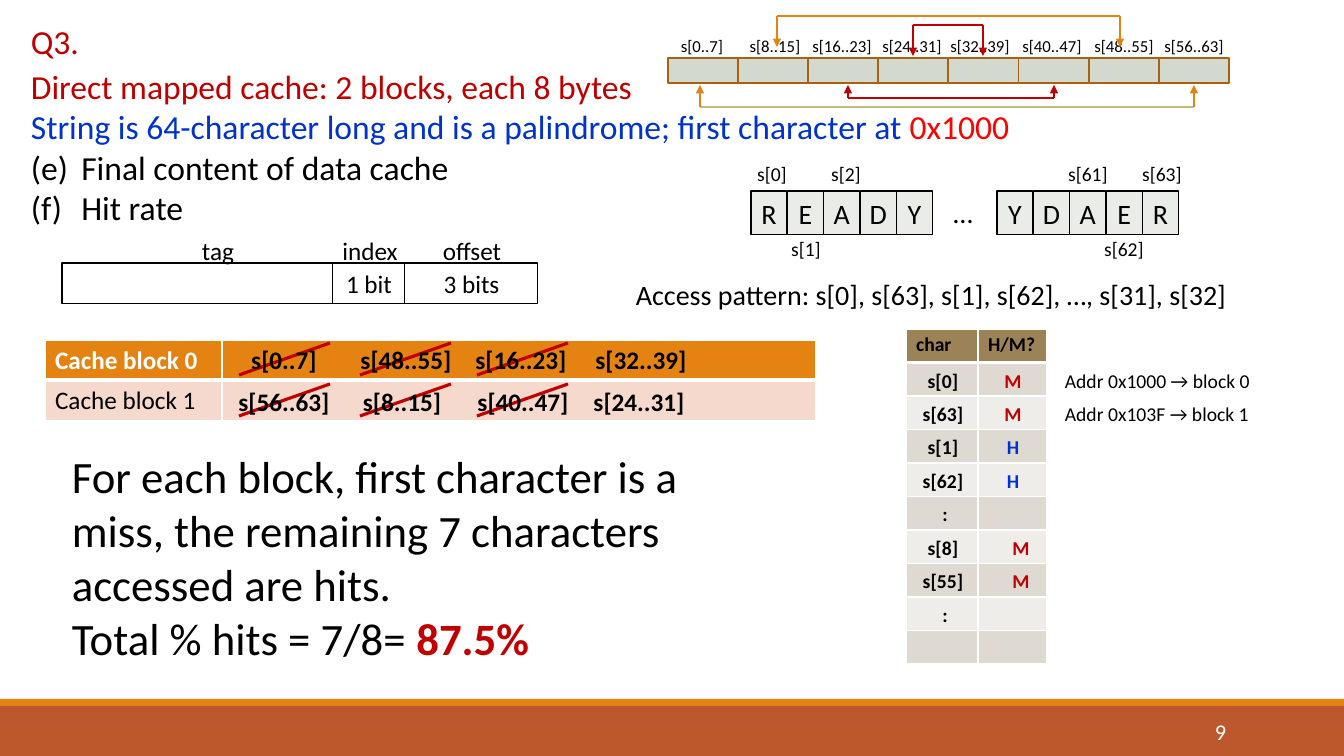
from lxml import etree
from pptx import Presentation
from pptx import util as u
from pptx.dml.color import RGBColor
from pptx.enum import shapes, text
from pptx.oxml import ns

PX = 914400 / 100.8
HEX = {"black": "000000", "white": "FFFFFF", "red": "C00000", "bright": "FF0000",
       "blue": "0033CC", "orange": "E48312", "rust": "BD582C", "blush": "F5D9CC",
       "tan": "9B8357", "sand": "DED9D1", "pale": "EFEDEA", "letter": "EAECE7",
       "segment": "D4D9CF", "brown": "A9610D", "olive": "C2BC80"}
LEFT, CENTRE, RIGHT = text.PP_ALIGN.LEFT, text.PP_ALIGN.CENTER, text.PP_ALIGN.RIGHT

# Content. A run is (words, colour, bold); a paragraph is a list of runs.
QUESTION = [
    [("Direct mapped cache: 2 blocks, each 8 bytes", "red", False)],
    [("String is 64-character long and is a palindrome; first character at ", "blue", False),
     ("0x1000", "bright", False)],
    [("Final content of data cache", "black", False)],
    [("Hit rate", "black", False)]]
ANSWER = [
    [("For each block, first character is a miss, the remaining 7 characters "
      "accessed are hits.", "black", False)],
    [("Total % hits = 7/8= ", "black", False), ("87.5%", "red", True)]]
NOTES = [  # words, box, size, colour
    ("Q3.", (21, 16, 87, 50), 24, "red"),
    ("Access pattern: s[0], s[63], s[1], s[62], …, s[31], s[32]", (626, 273, 616, 44), 20, "black"),
    ("Addr 0x1000 → block 0", (1055, 364, 249, 34), 14, "black"),
    ("Addr 0x103F → block 1", (1055, 397, 249, 34), 14, "black")]
SEGMENTS = [("s[0..7]", 702), ("s[8..15]", 775), ("s[16..23]", 842), ("s[24..31]", 912),
            ("s[32..39]", 980), ("s[40..47]", 1052), ("s[48..55]", 1124), ("s[56..63]", 1194)]
MIRRORS = [  # left, right, bar y, tip y, bar colour, arrow colour
    (700, 1194, 107, 85, "olive", "orange"), (777, 1120, 16, 47, "orange", "orange"),
    (848, 1054, 98, 85, "red", "red"), (913, 983, 25, 56, "red", "red")]
WORDS = [("READY", 751), ("YDAER", 997)]
INDICES = [("s[0]", 772, 157), ("s[2]", 846, 157), ("s[61]", 1088, 157),
           ("s[63]", 1162, 157), ("s[1]", 806, 232), ("s[62]", 1124, 232)]
FIELDS = [("tag", 218, "", 62, 271), ("index", 370, "1 bit", 333, 72),
          ("offset", 472, "3 bits", 405, 133)]
CACHE_ROWS = [("Cache block 0", "orange", "white", True),
              ("Cache block 1", "blush", "black", False)]
CACHED = [  # label top, strike bottom, (label, centre)
    (339, 375, [("s[0..7]", 284), ("s[48..55]", 406), ("s[16..23]", 521), ("s[32..39]", 641)]),
    (381, 416, [("s[56..63]", 284), ("s[8..15]", 402), ("s[40..47]", 523), ("s[24..31]", 639)])]
STRIKES = [239, 360, 477]
ACCESSES = [("s[0]", "M", 1013), ("s[63]", "M", 1013), ("s[1]", "H", 1013), ("s[62]", "H", 1013),
            (":", "", 0), ("s[8]", "M", 1021), ("s[55]", "M", 1021), (":", "", 0)]
OUTCOME_COLOURS = {"M": "red", "H": "blue"}

deck = Presentation()
deck.slide_width, deck.slide_height = round(1344 * PX), round(756 * PX)
slide = deck.slides.add_slide(deck.slide_layouts[6])


def emu(*pixels):
    """Turn pixel lengths into EMU."""
    return [u.Emu(round(p * PX)) for p in pixels]


def colour(name):
    """Look up a colour by name."""
    return RGBColor.from_string(HEX[name])


def assign(target, values):
    """Set each attribute named in values."""
    for name, value in values.items():
        setattr(target, name, value)


def write(frame, paragraphs, size, align=LEFT):
    """Fill a text frame with paragraphs of coloured runs."""
    frame.word_wrap = True
    if align == CENTRE:
        assign(frame, {"margin_left": 0, "margin_right": 0})
    for i, runs in enumerate(paragraphs):
        paragraph = frame.paragraphs[0] if i == 0 else frame.add_paragraph()
        paragraph.alignment = align
        for words, ink, bold in runs:
            run = paragraph.add_run()
            run.text = words
            assign(run.font, {"name": "Calibri", "size": u.Pt(size), "bold": bold})
            run.font.color.rgb = colour(ink)


def note(paragraphs, box, size, align=LEFT):
    """Add a text box and return its frame."""
    frame = slide.shapes.add_textbox(*emu(*box)).text_frame
    write(frame, paragraphs, size, align)
    return frame


def label(words, centre, top, size, ink="black", bold=False):
    """Add a one-line label centred on a point."""
    note([[(words, ink, bold)]], (centre - 60, top, 120, 2 * size), size, CENTRE)


def block(box, fill=None, line=None, weight=0.75, words="", size=18):
    """Add a rectangle, with centred words if there are any."""
    rect = slide.shapes.add_shape(shapes.MSO_SHAPE.RECTANGLE, *emu(*box))
    rect.shadow.inherit = False
    if fill:
        rect.fill.solid()
        rect.fill.fore_color.rgb = colour(fill)
    else:
        rect.fill.background()
    if line:
        rect.line.color.rgb = colour(line)
        rect.line.width = u.Pt(weight)
    else:
        rect.line.fill.background()
    if words:
        rect.text_frame.vertical_anchor = text.MSO_ANCHOR.MIDDLE
        write(rect.text_frame, [[(words, "black", False)]], size, CENTRE)


def stroke(ends, ink, weight, arrow=False):
    """Draw a straight line, with an arrowhead at its end if asked."""
    line = slide.shapes.add_connector(shapes.MSO_CONNECTOR.STRAIGHT, *emu(*ends))
    line.line.color.rgb = colour(ink)
    line.line.width = u.Pt(weight)
    if arrow:
        etree.SubElement(line.line._get_or_add_ln(), ns.qn("a:tailEnd"), type="triangle")
    etree.SubElement(line._element.spPr, ns.qn("a:effectLst"))


def grid(box, widths, rows):
    """Add an unstyled table and return it."""
    table = slide.shapes.add_table(rows, len(widths), *emu(*box)).table
    table.horz_banding = False
    for column, width in zip(table.columns, emu(*widths)):
        column.width = width
    return table


def paint(cell, fill, bottom=1):
    """Fill a cell and give it white borders."""
    cell.fill.solid()
    cell.fill.fore_color.rgb = colour(fill)
    for i, (side, weight) in enumerate(zip("LRTB", (1, 1, 1, bottom))):
        border = etree.Element(ns.qn("a:ln" + side), w=str(u.Pt(weight)))
        solid = etree.SubElement(border, ns.qn("a:solidFill"))
        etree.SubElement(solid, ns.qn("a:srgbClr"), val=HEX["white"])
        cell._tc.get_or_add_tcPr().insert(i, border)


# Footer
block((0, 706, 1344, 50), "rust")
block((0, 699, 1344, 7), "orange")
number = note([[("9", "white", False)]], (1092, 712, 144, 40), 16, RIGHT)
number.vertical_anchor = text.MSO_ANCHOR.MIDDLE

# Question and answer
for words, box, size, ink in NOTES:
    note([[(words, ink, False)]], box, size)
question = note(QUESTION, (21, 61, 1035, 173), 24)
for part in question.paragraphs[2:]:
    properties = part._p.get_or_add_pPr()
    assign_indent = {"marL": u.Inches(0.5), "indent": -u.Inches(0.5)}
    for name, value in assign_indent.items():
        properties.set(name, str(value))
    etree.SubElement(properties, ns.qn("a:buAutoNum"), type="alphaLcParenBoth", startAt="5")
note(ANSWER, (62, 444, 651, 228), 32)

# String letters and their indices
for word, left in WORDS:
    for i, letter in enumerate(word):
        block((left + 182 * i / 5, 191, 36, 44), "letter", "black", words=letter, size=20)
label("…", 963, 191, 20)
for words, centre, top in INDICES:
    label(words, centre, top, 14)

# Address fields
for name, centre, bits, left, width in FIELDS:
    block((left, 263, width, 41), line="black", words=bits)
    label(name, centre, 230, 18)

# Cache blocks
cache = grid((45, 340, 771, 80), (177, 594), 2)
for r, (name, fill, ink, bold) in enumerate(CACHE_ROWS):
    cache.rows[r].height = emu(40)[0]
    for c in range(2):
        paint(cache.cell(r, c), fill, 1 if r else 3)
    write(cache.cell(r, 0).text_frame, [[(name, ink, bold)]], 18)
for top, bottom, held in CACHED:
    for left in STRIKES:
        stroke((left, bottom, left + 91, bottom - 32), "red", 2.25)
    for words, centre in held:
        label(words, centre, top, 18, bold=True)

# Hits and misses
hits = grid((906, 329, 141, 335), (72, 69), 10)
for r, row in enumerate(hits.rows):
    row.height = emu(33.5)[0]
    for c, heading in enumerate(("char", "H/M?")):
        cell = hits.cell(r, c)
        assign(cell, dict.fromkeys(("margin_top", "margin_bottom"), emu(4)[0]))
        paint(cell, ("sand" if r % 2 else "pale") if r else "tan", 1 if r else 3)
        if r == 0:
            write(cell.text_frame, [[(heading, "black", True)]], 14)
        else:
            cell.text_frame.paragraphs[0]._p.get_or_add_endParaRPr().set("sz", "1400")
for i, (char, outcome, centre) in enumerate(ACCESSES):
    top = 364 + 234 * i // 7
    label(char, 943 if outcome else 945, top, 14, bold=True)
    if outcome:
        label(outcome, centre, top, 14, OUTCOME_COLOURS[outcome], True)

# String segments and mirrored pairs
for i, (words, centre) in enumerate(SEGMENTS):
    block((668 + 561 * i / 8, 58, 70, 25), "segment", "brown", 1.25)
    label(words, centre, 31, 12)
for left, right, bar, tip, bar_ink, arrow_ink in MIRRORS:
    stroke((left, bar, right, bar), bar_ink, 1)
    for x in (left, right):
        stroke((x, bar, x, tip), arrow_ink, 1, arrow=True)

deck.save("out.pptx")
